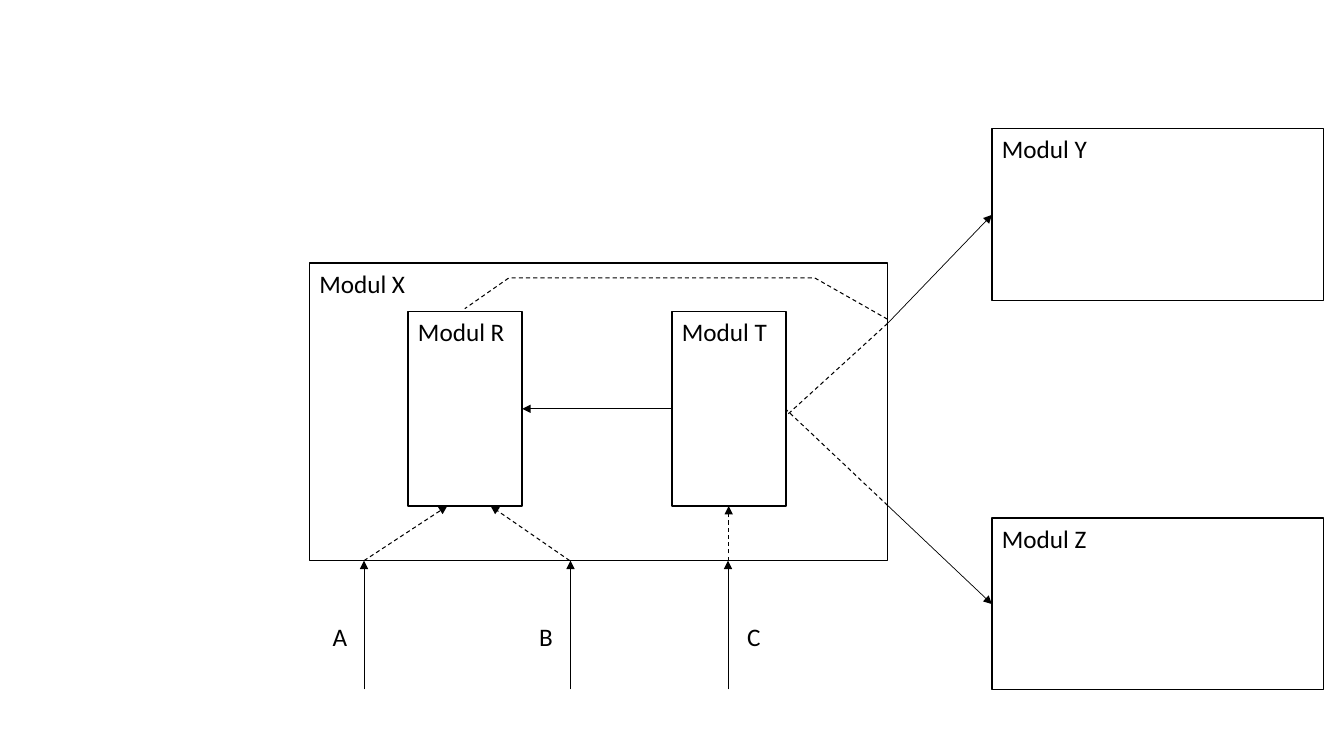
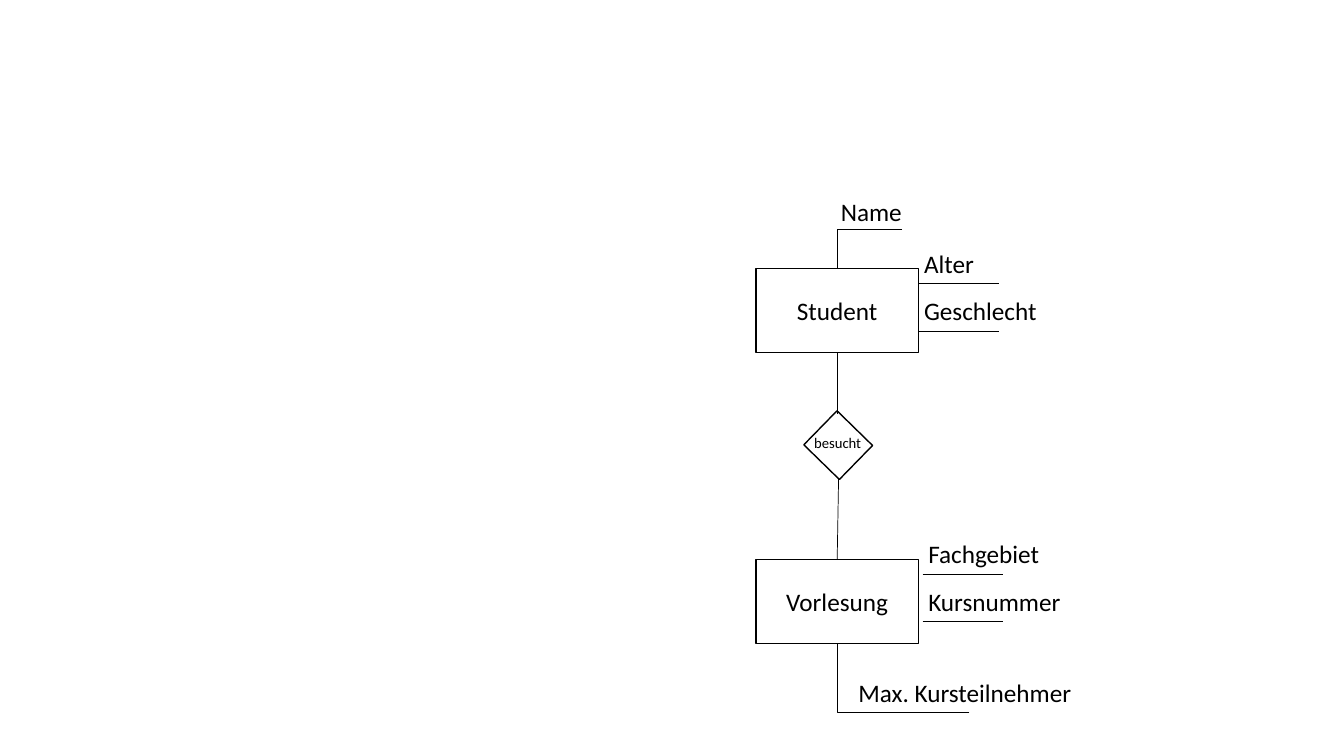
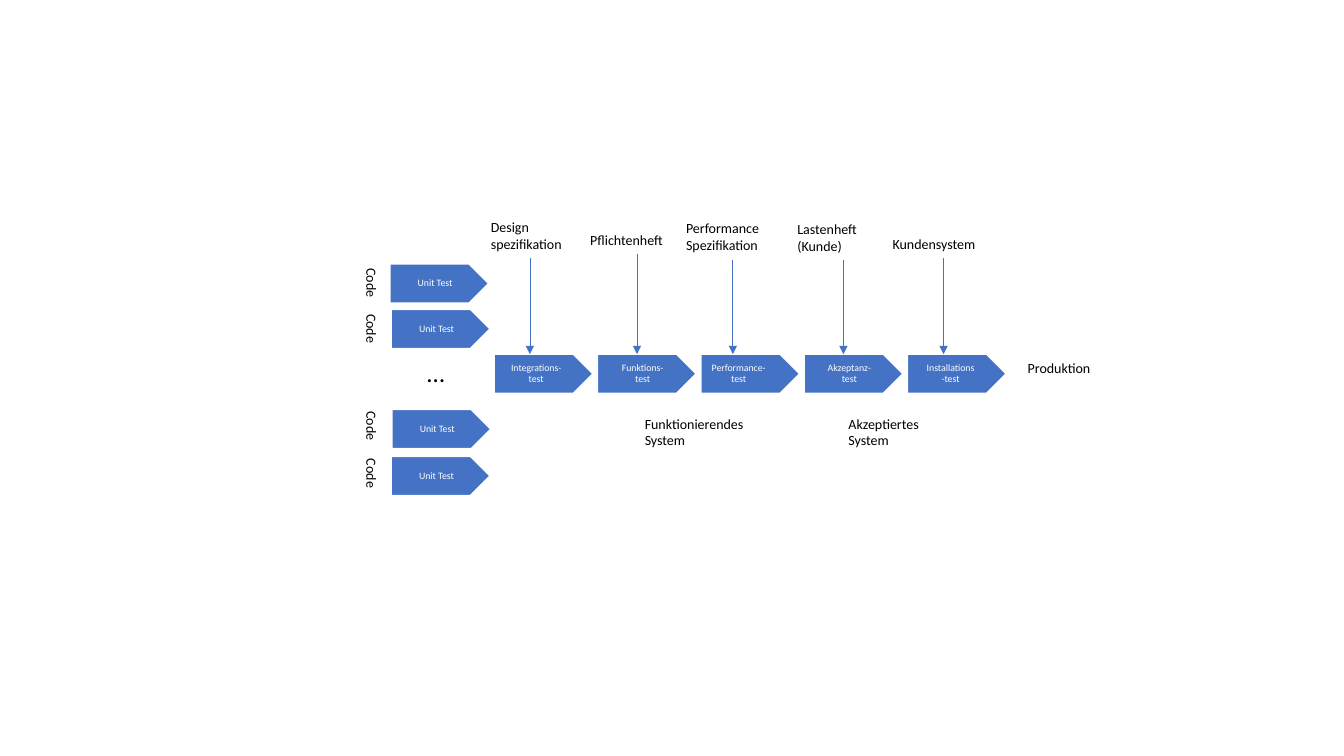
from pptx import Presentation
from pptx.dml.color import RGBColor
from pptx.enum.dml import MSO_LINE
from pptx.enum.shapes import MSO_CONNECTOR, MSO_SHAPE
from pptx.enum.text import MSO_ANCHOR, PP_ALIGN
from pptx.oxml.ns import qn
from pptx.util import Pt
from lxml import etree

BLACK = RGBColor(0x00, 0x00, 0x00)
WHITE = RGBColor(0xFF, 0xFF, 0xFF)
BLUE = RGBColor(0x44, 0x72, 0xC4)
RECT, PLATE = MSO_SHAPE.RECTANGLE, MSO_SHAPE.PENTAGON
LINE, ELBOW = MSO_CONNECTOR.STRAIGHT, MSO_CONNECTOR.ELBOW
DASH = MSO_LINE.DASH
TOP, MIDDLE = MSO_ANCHOR.TOP, MSO_ANCHOR.MIDDLE
LEFT, CENTER = PP_ALIGN.LEFT, PP_ALIGN.CENTER

FONT = {"name": "Calibri"}
MID = {"anchor": MIDDLE, "align": CENTER}


def assign(target, values):
    for key, value in values.items():
        setattr(target, key, value)


class Deck:
    def __init__(self):
        self.prs = Presentation()
        self.prs.slide_width, self.prs.slide_height = Pt(960), Pt(540)
        self.shapes = None

    def slide(self):
        self.shapes = self.prs.slides.add_slide(self.prs.slide_layouts[6]).shapes

    def letter(self, shape, text, size=18, color=BLACK, align=LEFT, anchor=TOP,
               inset=(7.2, 3.6, 7.2, 3.6), space=1.0):
        """Fill the shape with styled text."""
        frame = shape.text_frame
        sides = ("margin_left", "margin_top", "margin_right", "margin_bottom")
        assign(frame, {"word_wrap": True, "vertical_anchor": anchor})
        assign(frame, dict(zip(sides, map(Pt, inset))))
        para = frame.paragraphs[0]
        assign(para, {"text": text, "alignment": align, "line_spacing": space})
        assign(para.runs[0].font, FONT | {"size": Pt(size)})
        para.runs[0].font.color.rgb = color

    def box(self, at, text="", kind=RECT, fill=WHITE, edge=BLACK, turn=0, **style):
        shape = self.shapes.add_shape(kind, *map(Pt, at))
        shape.shadow.inherit = False
        shape.rotation = turn
        shape.fill.solid()
        shape.fill.fore_color.rgb = fill
        self.stroke(shape.line, 1, edge)
        if text:
            self.letter(shape, text, **style)

    def label(self, at, text, turn=0, **style):
        shape = self.shapes.add_textbox(*map(Pt, at))
        shape.rotation = turn
        self.letter(shape, text, **style)

    def stroke(self, line, width, color=BLACK, dash=None):
        line.color.rgb = color
        assign(line, {"width": Pt(width), "dash_style": dash})

    def line(self, start, end, width=0.5, color=BLACK, dash=None, head=False, kind=LINE):
        link = self.shapes.add_connector(kind, *map(Pt, (*start, *end)))
        self.stroke(link.line, width, color, dash)
        props = link._element.spPr
        if head:
            etree.SubElement(props.find(qn("a:ln")), qn("a:tailEnd"), type="triangle")
        etree.SubElement(props, qn("a:effectLst"))
        return link

    def corner(self, start, end):
        """Draw a line that runs level first, then turns once."""
        link = self.line(start, end, kind=ELBOW)
        link._element.spPr.find(qn("a:prstGeom")).set("prst", "bentConnector2")

    def trail(self, points, width, dash):
        """Draw an open line through all the points."""
        pen = self.shapes.build_freeform(*map(Pt, points[0]), scale=1.0)
        pen.add_line_segments([tuple(map(Pt, spot)) for spot in points[1:]], close=False)
        shape = pen.convert_to_shape()
        shape.shadow.inherit = False
        shape.fill.background()
        self.stroke(shape.line, width, dash=dash)


def modules(deck):
    deck.slide()
    deck.box((221, 188, 413, 212.5), "Modul X")
    for name, top in (("Y", 92), ("Z", 370)):
        deck.box((708.5, top, 237, 122.5), f"Modul {name}")
    for name, left in (("R", 291.5), ("T", 480)):
        deck.box((left, 222.5, 81.5, 139), f"Modul {name}")

    edge, foot, base = 634, 400.5, 361.5
    for name, left, x in (("A", 230.5, 260), ("B", 378, 407.5), ("C", 526.5, 520)):
        deck.line((x, 492.5), (x, foot), head=True)
        deck.label((left, 440.5, 26.5, 29), name)
    for y, goal, source in ((231, 153.5, 297.5), (361, 431.5, 292)):
        deck.line((edge, y), (708.5, goal), head=True)
        deck.line((edge, y), (561, source), 0.75, dash=DASH)
    for x, goal in ((260, 319.5), (407, 350.5), (520.5, 520.5)):
        deck.line((x, foot), (goal, base), 0.75, dash=DASH, head=True)
    deck.trail([(edge, 228), (582, 198.5), (363.5, 198.5), (332, 220.5)], 0.75, DASH)
    deck.line((480, 292), (373, 292), head=True)


def entities(deck):
    deck.slide()
    axis = 598
    fields = (
        ("Student", 192, 656, (("Alter", 59), ("Geschlecht", 103))),
        ("Vorlesung", 399.5, 659, (("Fachgebiet", 103), ("Kursnummer", 132))),
    )
    for name, top, left, items in fields:
        deck.box((540, top, 116, 60), name, **MID)
        for row, (item, width) in enumerate(items):
            y = top + 10.5 + 34 * row
            deck.line((left, y), (left + 57.5, y))
            deck.label((left - 3, y - 29, width, 29), item)

    deck.corner((644.5, 163.5), (axis, 192))
    deck.label((593.5, 137, 59, 29), "Name")
    deck.corner((692.5, 509), (axis, 459))
    deck.label((606, 480, 180, 29), "Max. Kursteilnehmer")
    deck.box((581, 301, 35.5, 34), turn=44.3)
    deck.line((axis, 252), (axis, 296))
    deck.line((axis, 399.5), (599, 342))
    deck.label((574.5, 306.5, 126, 34), "besucht", size=10.5)


def tests(deck):
    deck.slide()

    def stage(left, top, text, indent=16):
        deck.box((left, top, 70.5, 28), text, PLATE, BLUE, WHITE, size=7, color=WHITE,
                 inset=(indent, 1, 15, 1), space=0.9, **MID)

    units = ((278.5, 188.5, 194.5), (279.5, 221, 227), (280, 292.5, 296.5), (279.5, 326, 330.5))
    for left, top, code in units:
        stage(left, top, "Unit Test")
        deck.label((246, code, 39, 19.5), "Code", turn=90, size=10)
    deck.label((298, 251.5, 37.5, 29), "…")

    row = 253
    steps = (
        ("Integrations-test", 11.5, "Design spezifikation", (343.5, 152.5, 70.5, 32), 378.5),
        ("Funktions-test", 16, "Pflichtenheft", (414.5, 162, 80, 19.5), 455),
        ("Performance-test", 5.5, "Performance Spezifikation", (483, 153.5, 80, 32), 523.5),
        ("Akzeptanz-test", 16, "Lastenheft (Kunde)", (562.5, 154, 80, 32), 602.5),
        ("Installations-test", 13, "Kundensystem", (630.5, 165, 87, 19.5), 674),
    )
    for col, (name, indent, note, at, x) in enumerate(steps):
        stage(353 + 73.8 * col, row, name, indent)
        deck.label(at, note, size=10)
        deck.line((x, at[1] + at[3]), (x, row), color=BLUE, head=True)

    results = (("Funktionierendes System", 453.5, 293), ("Akzeptiertes System", 599, 293),
               ("Produktion", 727, row))
    for text, left, top in results:
        deck.label((left, top, 86.5, 32), text, size=10)


def main():
    deck = Deck()
    for draw in (modules, entities, tests):
        draw(deck)
    deck.prs.save("out.pptx")


if __name__ == "__main__":
    main()
